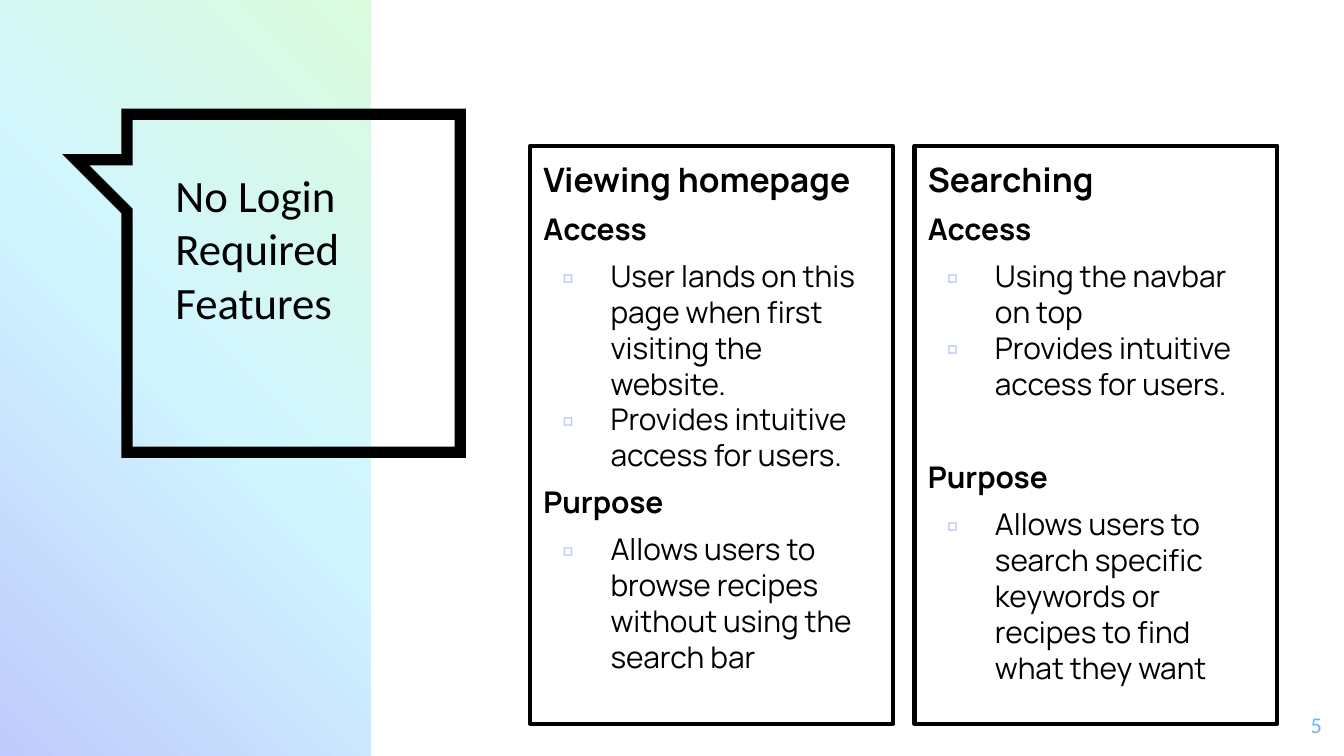
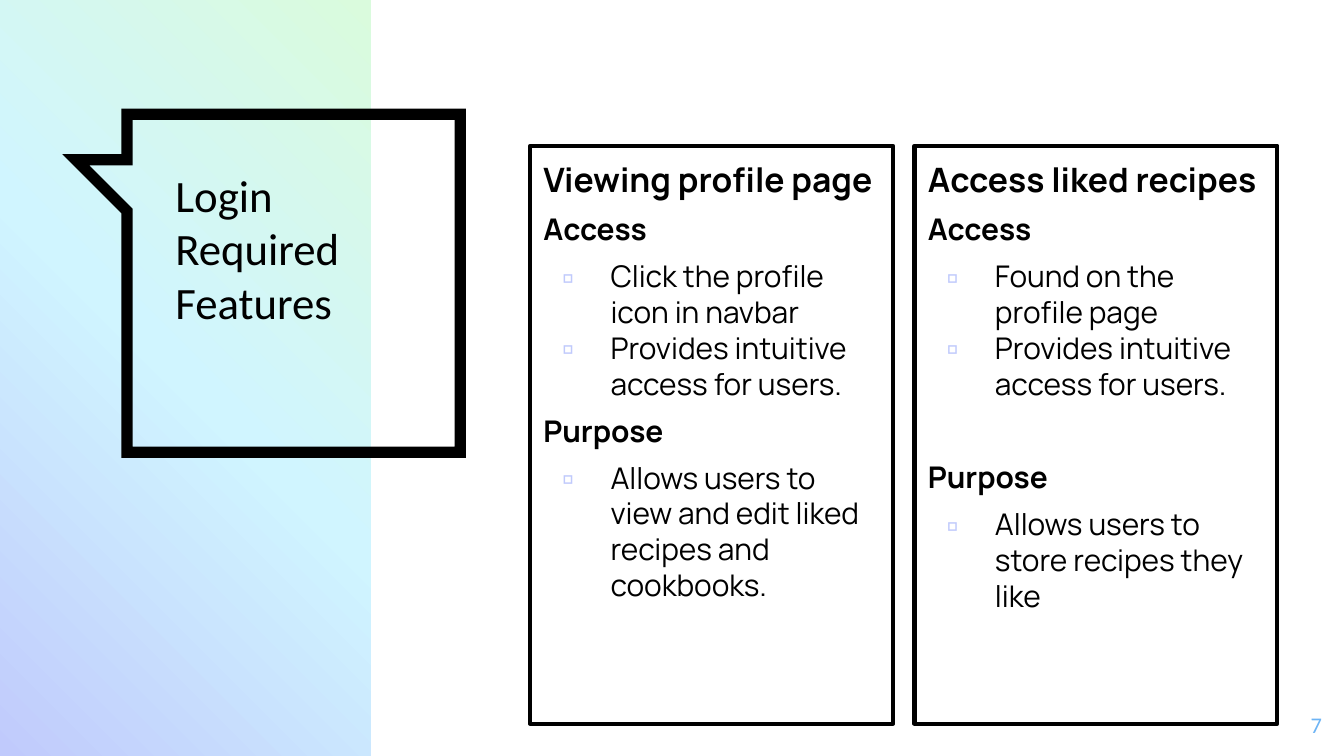
"""Build two feature slides, each with a callout title and two outlined cards."""
from copy import deepcopy

from lxml import etree
from pptx import Presentation
from pptx.dml.color import RGBColor
from pptx.enum.shapes import MSO_SHAPE
from pptx.enum.text import MSO_ANCHOR, MSO_AUTO_SIZE, PP_ALIGN
from pptx.oxml.ns import qn
from pptx.util import Pt

RECTANGLE = MSO_SHAPE.RECTANGLE
TOP = MSO_ANCHOR.TOP
NO_AUTOFIT = MSO_AUTO_SIZE.NONE
LEFT, RIGHT = PP_ALIGN.LEFT, PP_ALIGN.RIGHT

INTUITIVE = "Provides intuitive access for users."
SLIDES = [
    {
        "title": "No Login Required Features",
        "number": "5",
        "cards": [
            {
                "heading": "Viewing homepage",
                "Access": ["User lands on this page when first visiting the website.", INTUITIVE],
                "Purpose": ["Allows users to browse recipes without using the search bar"],
            },
            {
                "heading": "Searching",
                "Access": ["Using the navbar on top", INTUITIVE],
                "Purpose": ["Allows users to search specific keywords or recipes to find what they want"],
            },
        ],
    },
    {
        "title": "Login\nRequired Features",
        "number": "7",
        "cards": [
            {
                "heading": "Viewing profile page",
                "Access": ["Click the profile icon in navbar", INTUITIVE],
                "Purpose": ["Allows users to view and edit liked recipes and cookbooks."],
            },
            {
                "heading": "Access liked recipes",
                "Access": ["Found on the profile page", INTUITIVE],
                "Purpose": ["Allows users to store recipes they like"],
            },
        ],
    },
]

COLORS = {"ink": "000000", "lilac": "C0CAFC", "sky": "D0F5FF", "mint": "DAFBDD", "number": "6DB4F5"}
GRADIENT = [(0, "lilac"), (0.5, "sky"), (1, "mint")]
GRADIENT_ANGLE = 45

PX = 4572
SLIDE_SIZE = (2000, 1125)
BAND = (0, 0, 552, 1125)
CALLOUT = [(189, 170), (685, 170), (685, 673), (189, 673), (189, 314), (113, 238), (189, 238)]
TITLE = (241, 229, 402, 418)
CARD = (789, 217, 540, 860)
CARD_GAP = 32
NUMBER = (1867, 1039, 120, 86)
INSET = 20
BULLET_INDENT, BULLET_HANG = 100, 72
SPACE, SECTION_SPACE = 6, 31

FONTS = {
    "title": {"name": "Calibri", "size": Pt(24), "bold": False},
    "number": {"name": "Calibri", "size": Pt(12), "bold": False},
    "heading": {"name": "Manrope", "size": Pt(18), "bold": True},
    "label": {"name": "Manrope", "size": Pt(16), "bold": True},
    "item": {"name": "Manrope", "size": Pt(16), "bold": False},
}
FRAME = {
    "word_wrap": True,
    "auto_size": NO_AUTOFIT,
    "vertical_anchor": TOP,
    **{f"margin_{side}": INSET * PX for side in ("left", "top", "right", "bottom")},
}


def set_values(target, values):
    """Set every attribute named in a dict."""
    for name, value in values.items():
        setattr(target, name, value)


def scaled(box):
    """Turn px lengths into EMU."""
    return [length * PX for length in box]


def color(name):
    """Return a palette colour."""
    return RGBColor.from_string(COLORS[name])


def outline(shape, width):
    """Leave a shape unfilled, with a plain dark outline."""
    shape.shadow.inherit = False
    shape.fill.background()
    shape.line.color.rgb = color("ink")
    shape.line.width = Pt(width)


def format_paragraph(paragraph, style, ink="ink", alignment=LEFT, space=0):
    """Format a paragraph and its runs."""
    set_values(paragraph, {"alignment": alignment, "space_before": Pt(space)})
    for run in paragraph.runs:
        set_values(run.font, FONTS[style])
        run.font.color.rgb = color(ink)


def add_bullet(paragraph):
    """Give a paragraph a hanging square bullet."""
    properties = paragraph._p.get_or_add_pPr()
    properties.set("marL", str(BULLET_INDENT * PX))
    properties.set("indent", str(-BULLET_HANG * PX))
    bullet_color = etree.SubElement(properties, qn("a:buClr"))
    etree.SubElement(bullet_color, qn("a:srgbClr"), val=COLORS["lilac"])
    etree.SubElement(properties, qn("a:buFont"), typeface=FONTS["item"]["name"])
    etree.SubElement(properties, qn("a:buChar"), char="▫")


def add_band(slide):
    """Add the gradient band on the left."""
    band = slide.shapes.add_shape(RECTANGLE, *scaled(BAND))
    band.shadow.inherit = False
    band.line.fill.background()
    band.fill.gradient()
    band.fill.gradient_angle = GRADIENT_ANGLE
    stop_list = band._element.spPr.find(".//" + qn("a:gsLst"))
    stop_list.append(deepcopy(stop_list[-1]))
    for stop, (position, name) in zip(band.fill.gradient_stops, GRADIENT):
        stop.position = position
        stop.color.rgb = color(name)


def add_callout(slide):
    """Add the speech-bubble outline behind the title."""
    builder = slide.shapes.build_freeform(*CALLOUT[0], scale=PX)
    builder.add_line_segments(CALLOUT[1:], close=True)
    callout = builder.convert_to_shape()
    outline(callout, 6)
    etree.SubElement(callout.line._get_or_add_ln(), qn("a:miter"), lim="800000")


def place_title(slide, text):
    """Move the title placeholder into the callout and format it."""
    title = slide.shapes.title
    slide.shapes._spTree.append(title._element)
    set_values(title, dict(zip(("left", "top", "width", "height"), scaled(TITLE))))
    title.text_frame.text = text
    set_values(title.text_frame, FRAME)
    for paragraph in title.text_frame.paragraphs:
        format_paragraph(paragraph, "title")


def add_card(slide, index, card):
    """Add one outlined card with its heading, labels and bullets."""
    left, top, width, height = CARD
    left += index * (width + CARD_GAP)
    shape = slide.shapes.add_shape(RECTANGLE, *scaled((left, top, width, height)))
    outline(shape, 2.25)
    frame = shape.text_frame
    set_values(frame, FRAME)
    frame.text = card["heading"]
    format_paragraph(frame.paragraphs[0], "heading")
    for label in ("Access", "Purpose"):
        paragraph = frame.add_paragraph()
        paragraph.text = label
        wide = index == 1 and label == "Purpose"
        format_paragraph(paragraph, "label", space=SECTION_SPACE if wide else SPACE)
        for position, item in enumerate(card[label]):
            paragraph = frame.add_paragraph()
            paragraph.text = item
            add_bullet(paragraph)
            format_paragraph(paragraph, "item", space=0 if position else SPACE)


def add_number(slide, text):
    """Add the slide number in the lower right corner."""
    frame = slide.shapes.add_textbox(*scaled(NUMBER)).text_frame
    set_values(frame, FRAME)
    frame.text = text
    format_paragraph(frame.paragraphs[0], "number", "number", RIGHT)


def main():
    """Build and save the presentation."""
    presentation = Presentation()
    set_values(presentation, dict(zip(("slide_width", "slide_height"), scaled(SLIDE_SIZE))))
    for content in SLIDES:
        slide = presentation.slides.add_slide(presentation.slide_layouts[5])
        add_band(slide)
        add_callout(slide)
        place_title(slide, content["title"])
        for index, card in enumerate(content["cards"]):
            add_card(slide, index, card)
        add_number(slide, content["number"])
    presentation.save("out.pptx")


if __name__ == "__main__":
    main()
